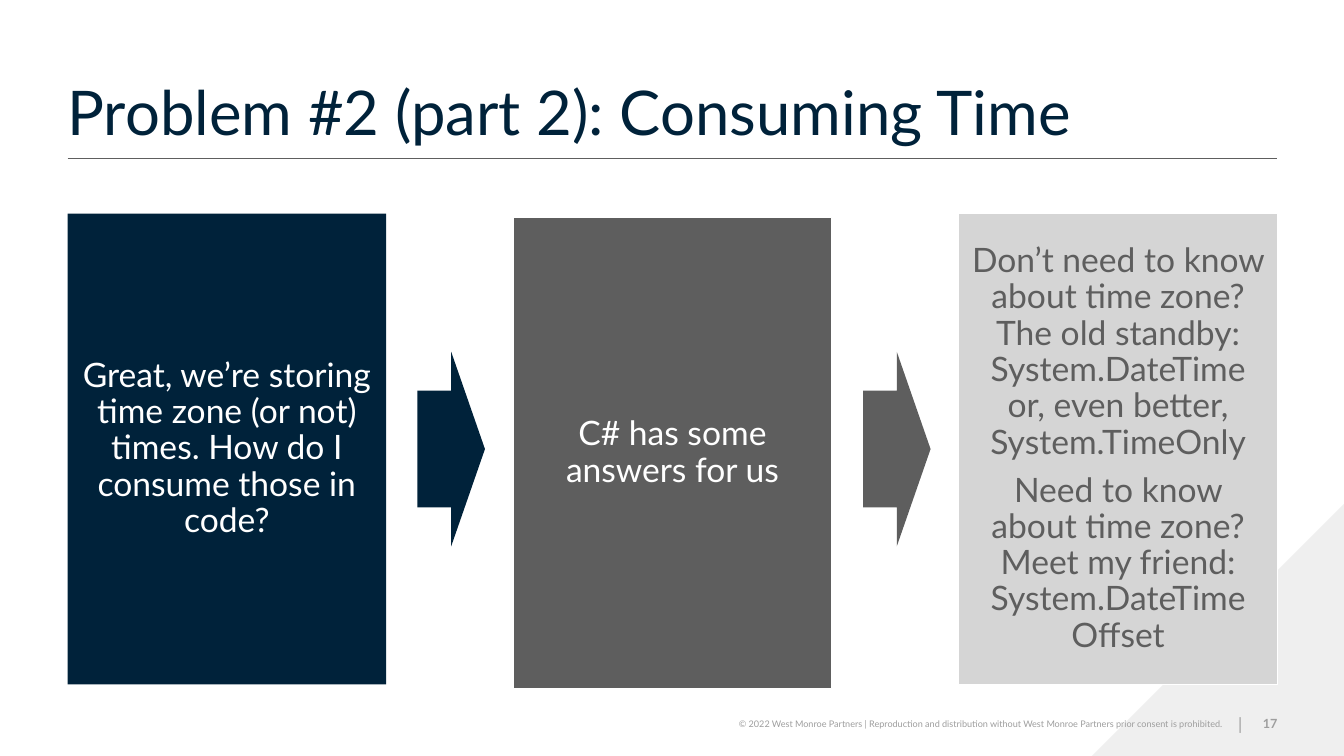
from lxml import etree
from pptx import Presentation
from pptx.dml.color import RGBColor
from pptx.enum.shapes import MSO_CONNECTOR, MSO_SHAPE
from pptx.enum.text import MSO_ANCHOR, MSO_AUTO_SIZE, PP_ALIGN
from pptx.oxml.ns import qn
from pptx.util import Inches, Pt

NAVY, GRAY, LIGHT, PALE, MUTED, WHITE = (
    "00223A", "5E5E5E", "D5D5D5", "EFEFEF", "9E9E9E", "FFFFFF")


def add_filled(kind, x, y, w, h, fill, line=None):
    sp = s.shapes.add_shape(kind, Inches(x), Inches(y), Inches(w), Inches(h))
    sp.shadow.inherit = False
    sp.fill.solid()
    sp.fill.fore_color.rgb = RGBColor.from_string(fill)
    if line:
        sp.line.color.rgb = RGBColor.from_string(line)
        sp.line.width = Pt(1)
    else:
        sp.line.fill.background()
    return sp


def set_text(sp, paragraphs, size, color, align, anchor=MSO_ANCHOR.MIDDLE, inset=0, bold=False):
    tf = sp.text_frame
    tf.word_wrap = True
    tf.auto_size = MSO_AUTO_SIZE.NONE
    tf.vertical_anchor = anchor
    tf.margin_left = tf.margin_right = tf.margin_top = tf.margin_bottom = Inches(inset)
    tf.text = "\n".join(paragraphs)
    for p in tf.paragraphs:
        p.alignment = align
        for r in p.runs:
            r.font.name = "Lato"
            r.font.size = Pt(size)
            r.font.bold = bold
            r.font.color.rgb = RGBColor.from_string(color)


prs = Presentation()
prs.slide_width, prs.slide_height = Inches(13.33), Inches(7.5)
s = prs.slides.add_slide(prs.slide_layouts[5])

# Corner triangle, title and rule
corner = add_filled(MSO_SHAPE.RIGHT_TRIANGLE, 10.83, 5, 2.5, 2.5, PALE)
corner.rotation = 270

title = s.shapes.title
title.left, title.top, title.width, title.height = (
    Inches(0.67), Inches(0.67), Inches(12), Inches(0.8))
set_text(title, ["Problem #2 (part 2): Consuming Time"], 44, NAVY, PP_ALIGN.LEFT, MSO_ANCHOR.BOTTOM)

rule = s.shapes.add_connector(
    MSO_CONNECTOR.STRAIGHT, Inches(0.67), Inches(1.57), Inches(12.67), Inches(1.57))
rule.line.color.rgb = RGBColor.from_string(GRAY)
rule.line.width = Pt(0.3)
etree.SubElement(rule._element.spPr, qn("a:effectLst"))

# Footer
footer = [
    ("|", 12.19, 0.22, 12, PP_ALIGN.CENTER, False),
    ("© 2022 West Monroe Partners | Reproduction and distribution without "
     "West Monroe Partners prior consent is prohibited.", 7.05, 5.08, 6.5, PP_ALIGN.RIGHT, False),
    ("17", 12.19, 0.48, 9, PP_ALIGN.RIGHT, True),
]
for text, x, w, size, align, bold in footer:
    box = s.shapes.add_textbox(Inches(x), Inches(6.98), Inches(w), Inches(0.4))
    set_text(box, [text], size, MUTED, align, bold=bold)

# Three steps, with an arrow after each one but the last
steps = [
    (["Great, we’re storing time zone (or not) times. How do I consume those in code?"],
     2.12, NAVY, None, WHITE),
    (["C# has some answers for us"], 2.16, GRAY, WHITE, WHITE),
    (["Don’t need to know about time zone? The old standby: System.DateTime "
      "or, even better, System.TimeOnly",
      "Need to know about time zone? Meet my friend: System.DateTime Offset"],
     2.12, LIGHT, WHITE, GRAY),
]
for i, (paragraphs, y, fill, line, color) in enumerate(steps):
    x = 0.67 + 4.42 * i
    card = add_filled(MSO_SHAPE.RECTANGLE, x, y, 3.16, 4.67, fill, line)
    set_text(card, paragraphs, 24, color, PP_ALIGN.CENTER, inset=0.12)
    for p in card.text_frame.paragraphs:
        p.line_spacing = 0.9
        p.space_after = Pt(8.4)
    if i < len(steps) - 1:
        arrow = add_filled(MSO_SHAPE.RIGHT_ARROW, x + 3.47, 3.49, 0.67, 1.93, fill)
        arrow.adjustments[0] = 0.6
        arrow.adjustments[1] = 0.5

prs.save("out.pptx")
